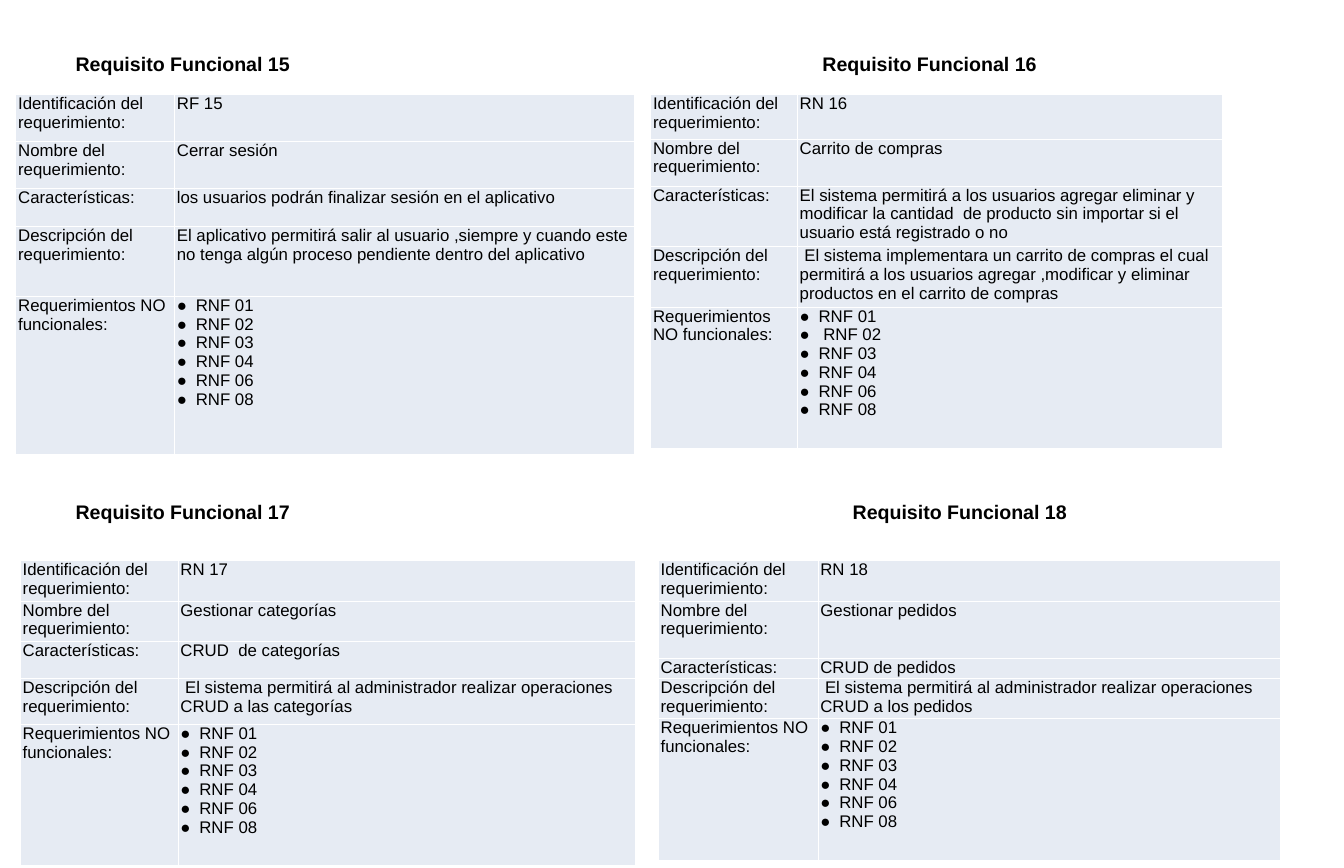
from lxml import etree
from pptx import Presentation, util as u
from pptx.dml.color import RGBColor
from pptx.enum import text
from pptx.oxml import ns

BLACK = RGBColor(0x00, 0x00, 0x00)
WHITE = RGBColor(0xFF, 0xFF, 0xFF)
PALE = RGBColor(0xE6, 0xEB, 0xF3)

LABELS = ["Identificación del requerimiento:", "Nombre del requerimiento:", "Características:",
          "Descripción del requerimiento:", "Requerimientos NO funcionales:"]
NEEDS = ["RNF 01", "RNF 02", "RNF 03", "RNF 04", "RNF 06", "RNF 08"]

# Each card: title place, table place, column widths, row heights, answers, bullets
CARDS = [
    dict(num=15, head=(28.8, 68.4), at=(22.3, 134.6), cols=(226.8, 657.4),
         rows=(67, 67, 54.7, 100, 226), needs=NEEDS,
         vals=["RF 15", "Cerrar sesión", "los usuarios podrán finalizar sesión en el aplicativo",
               "El aplicativo permitirá salir al usuario ,siempre y cuando este no tenga "
               "algún proceso pendiente dentro del aplicativo"]),
    dict(num=16, head=(1095.8, 68.4), at=(929.5, 134.6), cols=(209.5, 607),
         rows=(64, 67, 86.4, 86.4, 201.6), needs=[NEEDS[0], " RNF 02", *NEEDS[2:]],
         vals=["RN 16", "Carrito de compras",
               "El sistema permitirá a los usuarios agregar eliminar y modificar la cantidad  "
               "de producto sin importar si el usuario está registrado o no",
               " El sistema implementara un carrito de compras el cual permitirá a los usuarios "
               "agregar ,modificar y eliminar productos en el carrito de compras"]),
    dict(num=17, head=(28.8, 709.2), at=(28.8, 800.6), cols=(225.4, 653),
         rows=(57.6, 57.6, 53.3, 65.5, 201.6), needs=NEEDS,
         vals=["RN 17", "Gestionar categorías", "CRUD  de categorías",
               " El sistema permitirá al administrador realizar operaciones CRUD a las categorías"]),
    dict(num=18, head=(1139, 709.2), at=(940.3, 800.6), cols=(228.2, 661),
         rows=(57.6, 82, 28.8, 57.6, 201.6), needs=NEEDS,
         vals=["RN 18", "Gestionar pedidos", "CRUD de pedidos",
               " El sistema permitirá al administrador realizar operaciones CRUD a los pedidos"]),
]


class Board:
    font = "Arial"
    cell = dict(margin_left=u.Pt(3.6), margin_right=u.Pt(3.6), margin_top=0, margin_bottom=0)
    box = dict(word_wrap=True, vertical_anchor=text.MSO_ANCHOR.TOP, margin_left=u.Pt(79.2),
               margin_right=u.Pt(7.2), margin_top=u.Pt(5.4), margin_bottom=u.Pt(3.6))

    def __init__(self, slide):
        self.slide = slide

    def style(self, item, form):
        for key, val in form.items():
            setattr(item, key, val)

    def label(self, frame, lines, size, bold=False, dots=False):
        for i, line in enumerate(lines):
            para = frame.add_paragraph() if i else frame.paragraphs[0]
            run = para.add_run()
            run.text = line
            self.style(run.font, dict(name=self.font, size=u.Pt(size), bold=bold))
            run.font.color.rgb = BLACK
            if dots:
                self.bullet(para)

    def bullet(self, para):
        props = para._p.get_or_add_pPr()
        props.set("marL", str(u.Pt(27)))
        props.set("indent", str(-u.Pt(27)))
        tint = etree.SubElement(props, ns.qn("a:buClr"))
        etree.SubElement(tint, ns.qn("a:srgbClr"), val=str(BLACK))
        etree.SubElement(props, ns.qn("a:buFont"), typeface=self.font)
        etree.SubElement(props, ns.qn("a:buChar"), char="●")

    def border(self, cell):
        props = cell._tc.get_or_add_tcPr()
        for side in ("lnL", "lnR", "lnT", "lnB"):
            line = etree.SubElement(props, ns.qn("a:" + side), w=str(u.Pt(1)))
            fill = etree.SubElement(line, ns.qn("a:solidFill"))
            etree.SubElement(fill, ns.qn("a:srgbClr"), val=str(WHITE))

    def title(self, words, left, top):
        box = self.slide.shapes.add_textbox(u.Pt(left), u.Pt(top), u.Pt(397.4), u.Pt(74.9))
        self.style(box.text_frame, self.box)
        self.label(box.text_frame, [words], 28, bold=True)

    def table(self, at, cols, rows, grid):
        size = at + (sum(cols), sum(rows))
        table = self.slide.shapes.add_table(len(rows), len(cols), *map(u.Pt, size)).table
        self.style(table, dict(first_row=False, horz_banding=False))
        for col, width in zip(table.columns, cols):
            col.width = u.Pt(width)
        for row, height, items in zip(table.rows, rows, grid):
            row.height = u.Pt(height)
            for cell, lines in zip(row.cells, items):
                self.style(cell, self.cell)
                self.border(cell)
                cell.fill.solid()
                cell.fill.fore_color.rgb = PALE
                self.label(cell.text_frame, lines, 24, dots=len(lines) > 1)


def main():
    deck = Presentation()
    deck.slide_width, deck.slide_height = u.Pt(1920.24), u.Pt(1239.84)
    board = Board(deck.slides.add_slide(deck.slide_layouts[6]))

    # Four requirement cards, each a table with its title
    for card in CARDS:
        answers = [[val] for val in card["vals"]] + [card["needs"]]
        grid = [([name], lines) for name, lines in zip(LABELS, answers)]
        board.table(card["at"], card["cols"], card["rows"], grid)
        board.title(f"Requisito Funcional {card['num']}", *card["head"])

    deck.save("out.pptx")


if __name__ == "__main__":
    main()
